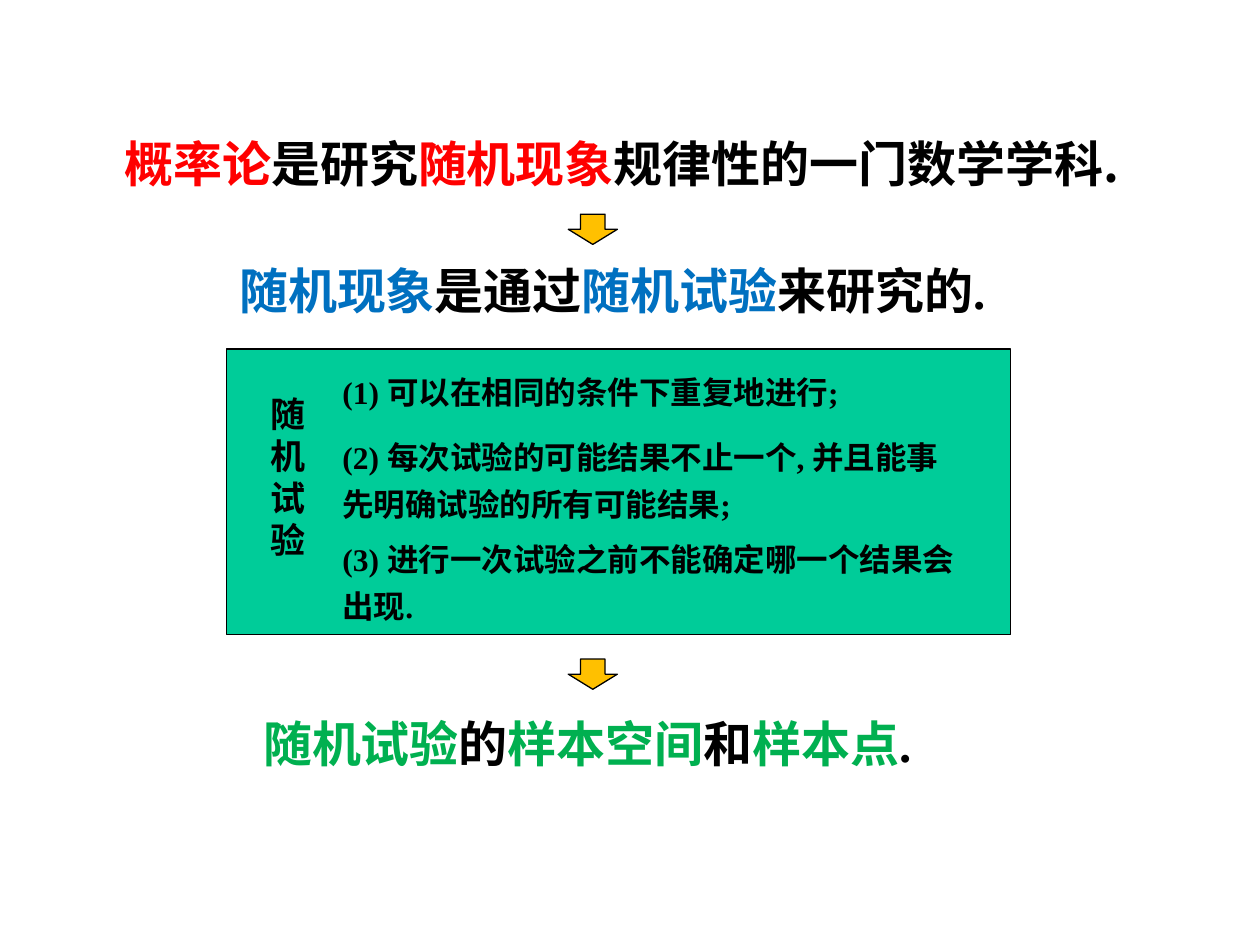
"""Build a slide on how probability theory leads to random trials and sample spaces."""
from dataclasses import dataclass

from lxml.etree import SubElement
from pptx import Presentation
from pptx.dml.color import RGBColor
from pptx.enum.shapes import MSO_SHAPE
from pptx.enum.text import MSO_AUTO_SIZE
from pptx.oxml.ns import qn
from pptx.slide import Slide
from pptx.util import Pt

COLOURS = {
    "black": "000000",
    "red": "FF0000",
    "blue": "0070C0",
    "green": "00B050",
    "panel": "00CC99",
    "arrow": "FFC000",
}
CHINESE_FONT = "Noto Sans CJK SC"
LATIN_FONT = "Times New Roman"


@dataclass(frozen=True)
class Span:
    text: str
    colour: str = "black"


@dataclass(frozen=True)
class TextBlock:
    left: float
    top: float
    width: float
    height: float
    size: float
    paragraphs: list[list[Span]]
    line_spacing: float = 1.0
    space_before: float = 0
    wrap: bool = True


@dataclass(frozen=True)
class Block:
    shape: MSO_SHAPE
    left: float
    top: float
    width: float
    height: float
    fill: str


BLOCKS = [
    Block(MSO_SHAPE.RECTANGLE, 129.6, 199.4, 447.8, 163.4, "panel"),
    *(Block(MSO_SHAPE.DOWN_ARROW, 324.7, top, 28.1, 17.3, "arrow") for top in (122.4, 376.6)),
]

TEXT_BLOCKS = [
    TextBlock(64.1, 64.1, 624.2, 49.7, 28, [[
        Span("概率论", "red"), Span("是研究"), Span("随机现象", "red"),
        Span("规律性的一门数学学科."),
    ]], line_spacing=1.25, space_before=17.5),
    TextBlock(129.6, 145.4, 447.1, 41, 28, [[
        Span("随机现象", "blue"), Span("是通过"), Span("随机试验", "blue"),
        Span("来研究的"), Span("."),
    ]], wrap=False),
    TextBlock(188.6, 209.5, 462.2, 28.8, 18, [
        [Span("(1) "), Span("可以在相同的条件下重复地进行"), Span(";")],
    ]),
    TextBlock(188.6, 241.2, 558, 61.2, 18, [
        [Span("(2) "), Span("每次试验的可能结果不止一个"), Span(", "), Span("并且能事")],
        [Span("先明确试验的所有可能结果"), Span(";")],
    ], line_spacing=1.25),
    TextBlock(188.6, 299.5, 613.4, 61.2, 18, [
        [Span("(3) "), Span("进行一次试验之前不能确定哪一个结果会")],
        [Span("出现"), Span(".")],
    ], line_spacing=1.25),
    TextBlock(147.6, 221, 34.6, 103.7, 20, [[Span(sign)] for sign in "随机试验"], wrap=False),
    TextBlock(143.3, 403.9, 391.7, 41, 28, [[
        Span("随机试验", "green"), Span("的"), Span("样本空间", "green"),
        Span("和"), Span("样本点", "green"), Span("."),
    ]], wrap=False),
]


def colour_of(name: str) -> RGBColor:
    """Return the named colour."""
    return RGBColor.from_string(COLOURS[name])


def draw_block(page: Slide, block: Block) -> None:
    """Draw a filled preset shape with a thin black outline."""
    shape = page.shapes.add_shape(
        block.shape, Pt(block.left), Pt(block.top), Pt(block.width), Pt(block.height))
    shape.shadow.inherit = False
    shape.fill.solid()
    shape.fill.fore_color.rgb = colour_of(block.fill)
    shape.line.color.rgb = colour_of("black")
    shape.line.width = Pt(0.75)


def draw_text(page: Slide, block: TextBlock) -> None:
    """Draw a text box of bold spans, with the font chosen by script."""
    box = page.shapes.add_textbox(
        Pt(block.left), Pt(block.top), Pt(block.width), Pt(block.height))
    frame = box.text_frame
    frame.word_wrap = block.wrap
    frame.auto_size = MSO_AUTO_SIZE.SHAPE_TO_FIT_TEXT
    frame.text = "\n".join("" for _ in block.paragraphs)
    for para, spans in zip(frame.paragraphs, block.paragraphs):
        para.line_spacing = block.line_spacing
        para.space_before = Pt(block.space_before)
        for span in spans:
            run = para.add_run()
            run.text = span.text
            font = run.font
            font.size = Pt(block.size)
            font.bold = True
            font.color.rgb = colour_of(span.colour)
            font.name = LATIN_FONT if span.text.isascii() else CHINESE_FONT
            SubElement(run._r.get_or_add_rPr(), qn("a:ea"), typeface=CHINESE_FONT)


def main() -> None:
    """Build and save the deck."""
    deck = Presentation()
    deck.slide_width, deck.slide_height = Pt(720), Pt(540)
    page = deck.slides.add_slide(deck.slide_layouts[6])
    for block in BLOCKS:
        draw_block(page, block)
    for text_block in TEXT_BLOCKS:
        draw_text(page, text_block)
    deck.save("out.pptx")


if __name__ == "__main__":
    main()
